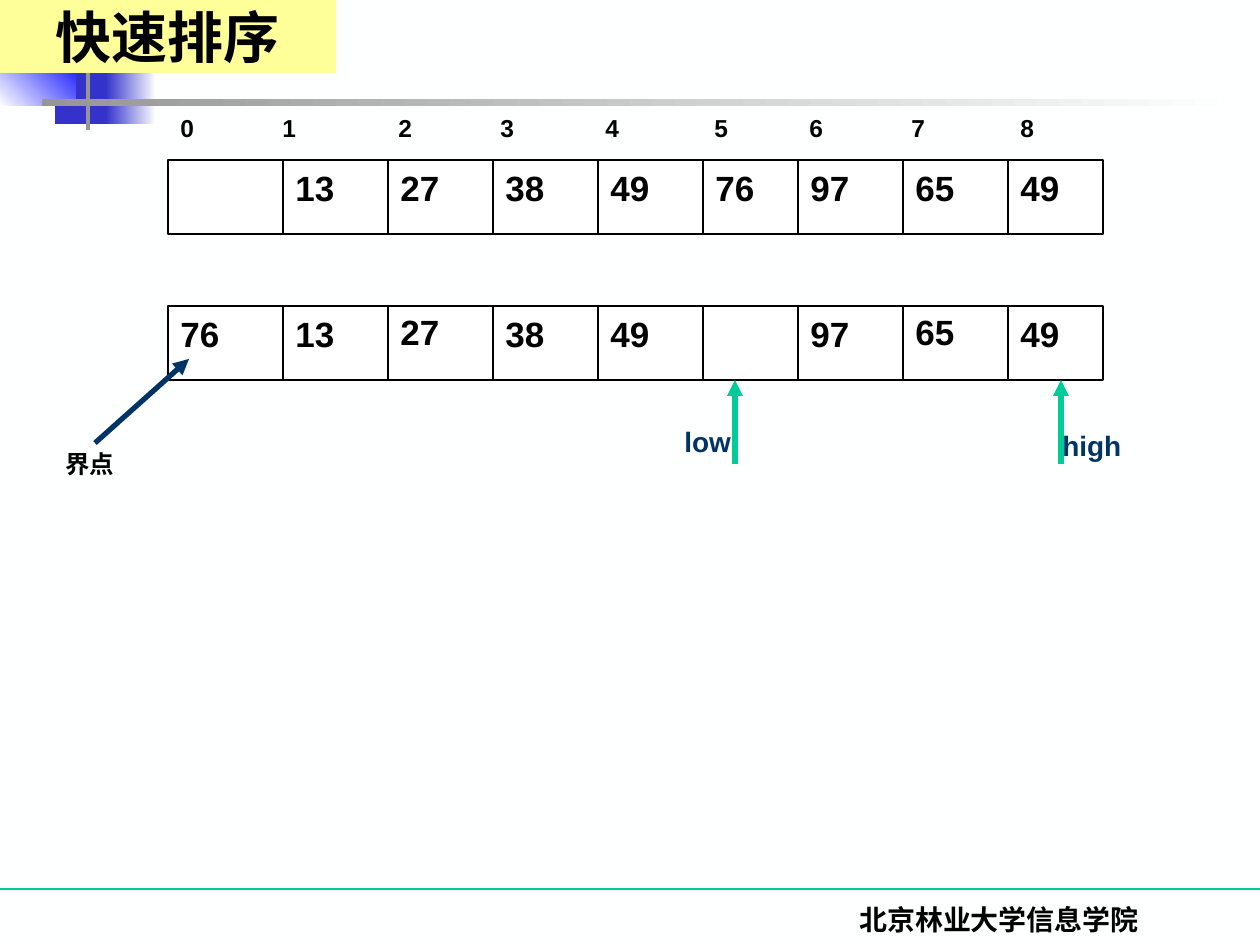
from lxml.etree import SubElement
from pptx import Presentation
from pptx.dml.color import RGBColor
from pptx.enum.shapes import MSO_CONNECTOR, MSO_SHAPE
from pptx.enum.text import MSO_ANCHOR, MSO_AUTO_SIZE, PP_ALIGN
from pptx.oxml.ns import qn
from pptx.util import Emu, Pt

PX = 914400 / 126
BLACK, WHITE, PAPER = "000000", "FFFFFF", "FEFFFF"
NAVY, GREEN, GREY, BLUE = "003366", "00CC99", "969696", "3333CC"


def px(*values):
    return [Emu(round(v * PX)) for v in values]


rgb = RGBColor.from_string


def add_line(x1, y1, x2, y2, color, width=0.75, arrow=False):
    line = s.shapes.add_connector(MSO_CONNECTOR.STRAIGHT, *px(x1, y1, x2, y2))
    line.line.color.rgb = rgb(color)
    line.line.width = Pt(width)
    if arrow:
        SubElement(line.line._get_or_add_ln(), qn("a:tailEnd"), type="triangle")
    SubElement(line._element.spPr, qn("a:effectLst"))


prs = Presentation()
prs.slide_width, prs.slide_height = px(1260, 945)
s = prs.slides.add_slide(prs.slide_layouts[5])
s.background.fill.solid()
s.background.fill.fore_color.rgb = rgb(PAPER)

# Corner decoration: box, start colour, end colour, angle
for box, start, end, angle in [
    ((55, 58, 58, 66), BLUE, BLUE, 0),
    ((106, 58, 50, 66), BLUE, PAPER, 0),
    ((0, 48, 76, 58), PAPER, "0000FF", 45),
    ((86, 0, 4, 130), GREY, GREY, 0),
    ((42, 99, 1198, 7), GREY, PAPER, 0),
]:
    sp = s.shapes.add_shape(MSO_SHAPE.RECTANGLE, *px(*box))
    sp.shadow.inherit = False
    sp.line.fill.background()
    if start == end:
        sp.fill.solid()
        sp.fill.fore_color.rgb = rgb(start)
    else:
        sp.fill.gradient()
        sp.fill.gradient_angle = angle
        for stop, color in zip(sp.fill.gradient_stops, (start, end)):
            stop.color.rgb = rgb(color)

# Footer rule
add_line(0, 889, 1260, 889, GREEN)

# Array rows before and after the pivot is moved to slot 0
cell_lefts = [168, 283, 388, 493, 598, 703, 798, 903, 1008]
row_right, row_height = 1103, 74
rows = [
    (160, ["", "13", "27", "38", "49", "76", "97", "65", "49"]),
    (306, ["76", "13", "27", "38", "49", "", "97", "65", "49"]),
]
raised = {(306, 2), (306, 7)}
texts = []
for top, values in rows:
    sp = s.shapes.add_shape(MSO_SHAPE.RECTANGLE,
                            *px(168, top, row_right - 168, row_height))
    sp.shadow.inherit = False
    sp.fill.solid()
    sp.fill.fore_color.rgb = rgb(WHITE)
    sp.line.color.rgb = rgb(BLACK)
    sp.line.width = Pt(0.75)
    for x in cell_lefts[1:]:
        add_line(x, top, x, top + row_height, BLACK)
    for i, (x, value) in enumerate(zip(cell_lefts, values)):
        if value:
            y = top - 2 if (top, i) in raised else top
            texts.append((value, (x, y, 84, 55), 20, BLACK))

# Pointer arrows
for x in (735, 1061):
    add_line(x, 464, x, 380, GREEN, 3, arrow=True)
add_line(95, 443, 189, 359, NAVY, 3, arrow=True)

# Indices, cell values, pointer labels and footer
indices = "\t".join(str(i) for i in range(9))
texts += [
    (indices, (168, 107, 935, 43), 14, BLACK),
    ("low", (672, 418, 116, 46), 16, NAVY),
    ("high", (1050, 422, 116, 46), 16, NAVY),
    ("界点", (53, 443, 105, 43), 14, BLACK),
    ("北京林业大学信息学院", (738, 896, 522, 63), 16, BLACK),
]
for text, box, size, color in texts:
    tf = s.shapes.add_textbox(*px(*box)).text_frame
    tf.word_wrap = True
    p = tf.paragraphs[0]
    if text == indices:
        tabs = SubElement(p._p.get_or_add_pPr(), qn("a:tabLst"))
        for offset in (102, 218, 320, 425, 534, 629, 731, 840):
            SubElement(tabs, qn("a:tab"), pos=str(px(offset)[0]), algn="l")
    is_footer = text.startswith("北京")
    if is_footer:
        p.alignment = PP_ALIGN.CENTER
    r = p.add_run()
    r.text = text
    font = {"name": "Times New Roman" if is_footer else "Arial",
            "size": Pt(size), "bold": True}
    for name, value in font.items():
        setattr(r.font, name, value)
    r.font.color.rgb = rgb(color)

# Title, brought in front of the corner decoration
title = s.shapes.title
title.left, title.top, title.width, title.height = px(0, 0, 336, 73)
title.fill.solid()
title.fill.fore_color.rgb = rgb("FFFF99")
tf = title.text_frame
tf.auto_size = MSO_AUTO_SIZE.NONE
tf.vertical_anchor = MSO_ANCHOR.MIDDLE
p = tf.paragraphs[0]
p.alignment = PP_ALIGN.CENTER
r = p.add_run()
r.text = "快速排序"
for name, value in {"name": "Times New Roman", "size": Pt(32), "bold": True}.items():
    setattr(r.font, name, value)
r.font.color.rgb = rgb(BLACK)
title._element.getparent().append(title._element)

prs.save("out.pptx")
